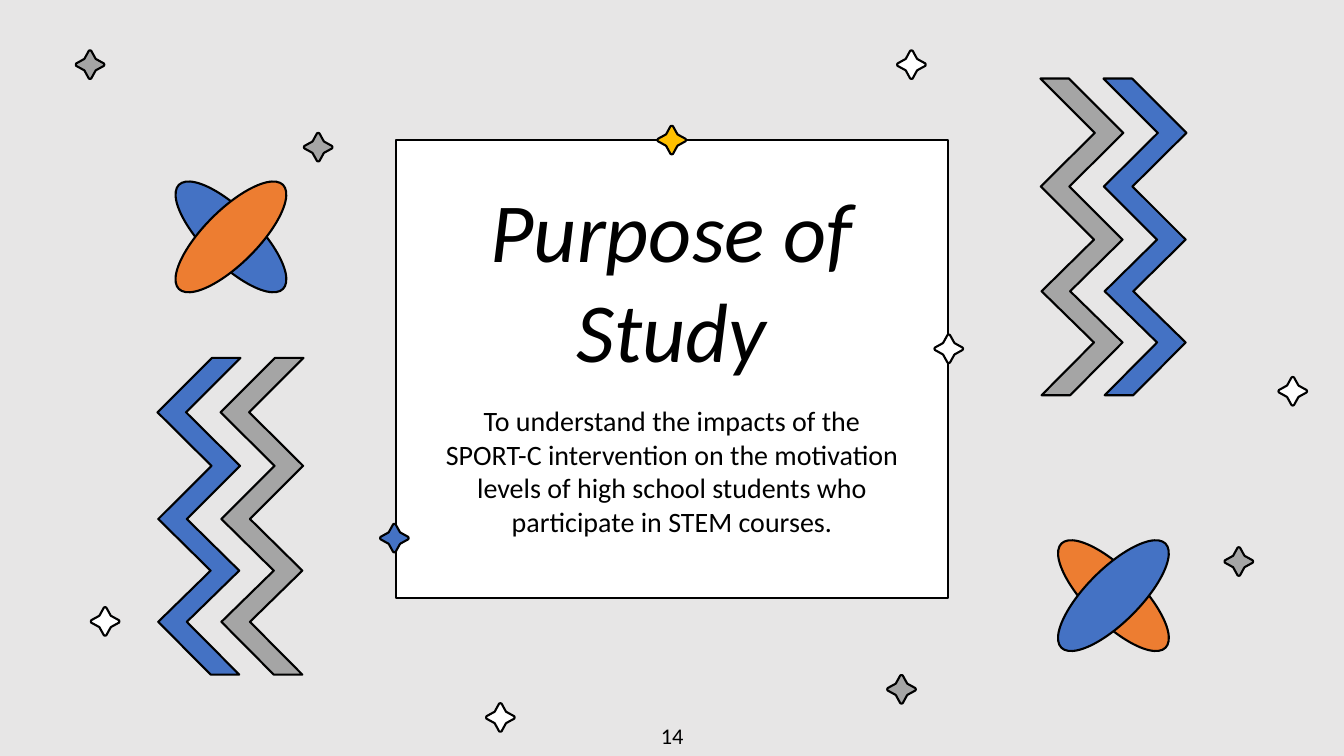
from dataclasses import dataclass

from pptx import Presentation
from pptx.dml.color import RGBColor
from pptx.enum.shapes import MSO_SHAPE
from pptx.enum.text import MSO_ANCHOR, MSO_AUTO_SIZE, PP_ALIGN
from pptx.shapes.base import BaseShape
from pptx.slide import Slide
from pptx.util import Cm, Pt

BLACK, WHITE, GREY = "000000", "FFFFFF", "A5A5A5"
BLUE, ORANGE, GOLD = "4472C4", "ED7D31", "FFC000"
BACKDROP = "E7E6E6"

Point = tuple[float, float]


# Repeated elements, all lengths in centimetres
@dataclass
class Sparkle:
    x: float  # centre
    y: float
    colour: str


@dataclass
class Zigzag:
    x: float  # starting corner
    y: float
    direction: int  # 1 leans right, -1 leans left
    colour: str


@dataclass
class Petals:
    x: float  # centre
    y: float
    back: str
    front: str


@dataclass
class Words:
    text: str
    left: float
    top: float
    width: float
    height: float
    font: dict
    margin: float
    margin_bottom: float


SPARKLES = [
    Sparkle(2.27, 1.63, GREY), Sparkle(9.94, 13.56, BLUE),
    Sparkle(16.93, 3.53, GOLD), Sparkle(23.91, 8.79, WHITE),
    Sparkle(2.65, 15.66, WHITE), Sparkle(31.22, 14.15, GREY),
    Sparkle(22.72, 17.37, GREY), Sparkle(22.97, 1.63, WHITE),
    Sparkle(8.02, 3.71, GREY), Sparkle(12.61, 18.08, WHITE),
    Sparkle(32.58, 9.86, WHITE),
]
ZIGZAGS = [
    Zigzag(27.81, 1.98, 1, BLUE), Zigzag(26.22, 1.98, 1, GREY),
    Zigzag(6.06, 9.02, -1, BLUE), Zigzag(7.65, 9.02, -1, GREY),
]
PETALS = [Petals(28.06, 15.01, ORANGE, BLUE), Petals(5.82, 5.97, BLUE, ORANGE)]

SPARKLE_QUARTER = [(0, -0.36), (0.03, -0.35), (0.14, -0.15), (0.15, -0.14), (0.35, -0.03)]
ZIGZAG_EDGE = [(0, 0), (1.37, 1.37), (0.01, 2.72), (1.35, 4.06),
               (0.03, 5.36), (1.35, 6.65), (0.03, 7.98)]
ZIGZAG_THICKNESS = 0.72
PETAL_LENGTH, PETAL_WIDTH = 3.71, 1.35

BASE_FONT = {"name": "Calibri", "bold": False, "italic": False}
HEADING = Words("Purpose of Study", 11.25, 5.97, 11.35, 2.11,
                BASE_FONT | {"size": Pt(60), "italic": True}, 0.33, 0.33)
PURPOSE = Words("To understand the impacts of the SPORT-C intervention on the motivation "
                "levels of high school students who participate in STEM courses.",
                10.85, 10.97, 12.17, 2.64, BASE_FONT | {"size": Pt(20)}, 0.33, 1.18)
PAGE_NUMBER = Words("14", 13.13, 18.03, 7.62, 1.02, BASE_FONT | {"size": Pt(16)}, 0.13, 0.13)


def rgb(code: str) -> RGBColor:
    return RGBColor.from_string(code)


def paint(shape: BaseShape, colour: str) -> None:
    shape.shadow.inherit = False
    shape.fill.solid()
    shape.fill.fore_color.rgb = rgb(colour)
    shape.line.color.rgb = rgb(BLACK)
    shape.line.width = Pt(1.5)


def draw_outline(slide: Slide, points: list[Point], colour: str) -> None:
    start, *rest = [(Cm(x), Cm(y)) for x, y in points]
    builder = slide.shapes.build_freeform(*start)
    builder.add_line_segments(rest, close=True)
    paint(builder.convert_to_shape(), colour)


def draw_sparkle(slide: Slide, sparkle: Sparkle) -> None:
    quarter, outline = SPARKLE_QUARTER, []
    for _ in range(4):
        outline += quarter
        quarter = [(-y, x) for x, y in quarter]
    draw_outline(slide, [(sparkle.x + x, sparkle.y + y) for x, y in outline], sparkle.colour)


def draw_zigzag(slide: Slide, zigzag: Zigzag) -> None:
    far_edge = [(x + ZIGZAG_THICKNESS, y) for x, y in reversed(ZIGZAG_EDGE)]
    draw_outline(slide, [(zigzag.x + zigzag.direction * x, zigzag.y + y)
                         for x, y in ZIGZAG_EDGE + far_edge], zigzag.colour)


def draw_petals(slide: Slide, petals: Petals) -> None:
    for angle, colour in ((45, petals.back), (-45, petals.front)):
        petal = slide.shapes.add_shape(
            MSO_SHAPE.OVAL, Cm(petals.x - PETAL_LENGTH / 2), Cm(petals.y - PETAL_WIDTH / 2),
            Cm(PETAL_LENGTH), Cm(PETAL_WIDTH))
        petal.rotation = angle
        paint(petal, colour)


def write(shape: BaseShape, words: Words) -> None:
    for side in ("left", "top", "width", "height"):
        setattr(shape, side, Cm(getattr(words, side)))
    frame = shape.text_frame
    frame.text = words.text
    margin = Cm(words.margin)
    frame_format = {
        "word_wrap": True, "auto_size": MSO_AUTO_SIZE.NONE,
        "vertical_anchor": MSO_ANCHOR.MIDDLE, "margin_left": margin, "margin_right": margin,
        "margin_top": margin, "margin_bottom": Cm(words.margin_bottom),
    }
    for key, value in frame_format.items():
        setattr(frame, key, value)
    paragraph = frame.paragraphs[0]
    for key, value in {"alignment": PP_ALIGN.CENTER, "space_before": Pt(0)}.items():
        setattr(paragraph, key, value)
    font = paragraph.runs[0].font
    for key, value in words.font.items():
        setattr(font, key, value)
    font.color.rgb = rgb(BLACK)


def main() -> None:
    deck = Presentation()
    deck.slide_width, deck.slide_height = Cm(33.87), Cm(19.05)
    slide = deck.slides.add_slide(deck.slide_layouts[0])
    slide.background.fill.solid()
    slide.background.fill.fore_color.rgb = rgb(BACKDROP)

    # Card with scattered sparkles
    card = slide.shapes.add_shape(MSO_SHAPE.RECTANGLE, Cm(9.98), Cm(3.53), Cm(13.92), Cm(11.53))
    paint(card, WHITE)
    for sparkle in SPARKLES:
        draw_sparkle(slide, sparkle)

    # Heading and purpose, raised above the card
    heading, purpose = slide.shapes.title, slide.placeholders[1]
    for placeholder, words in ((heading, HEADING), (purpose, PURPOSE)):
        write(placeholder, words)
        card.element.getparent().append(placeholder.element)

    # Side decorations
    for zigzag in ZIGZAGS:
        draw_zigzag(slide, zigzag)
    for petals in PETALS:
        draw_petals(slide, petals)

    # Page number
    write(slide.shapes.add_textbox(0, 0, Cm(1), Cm(1)), PAGE_NUMBER)

    deck.save("out.pptx")


if __name__ == "__main__":
    main()
